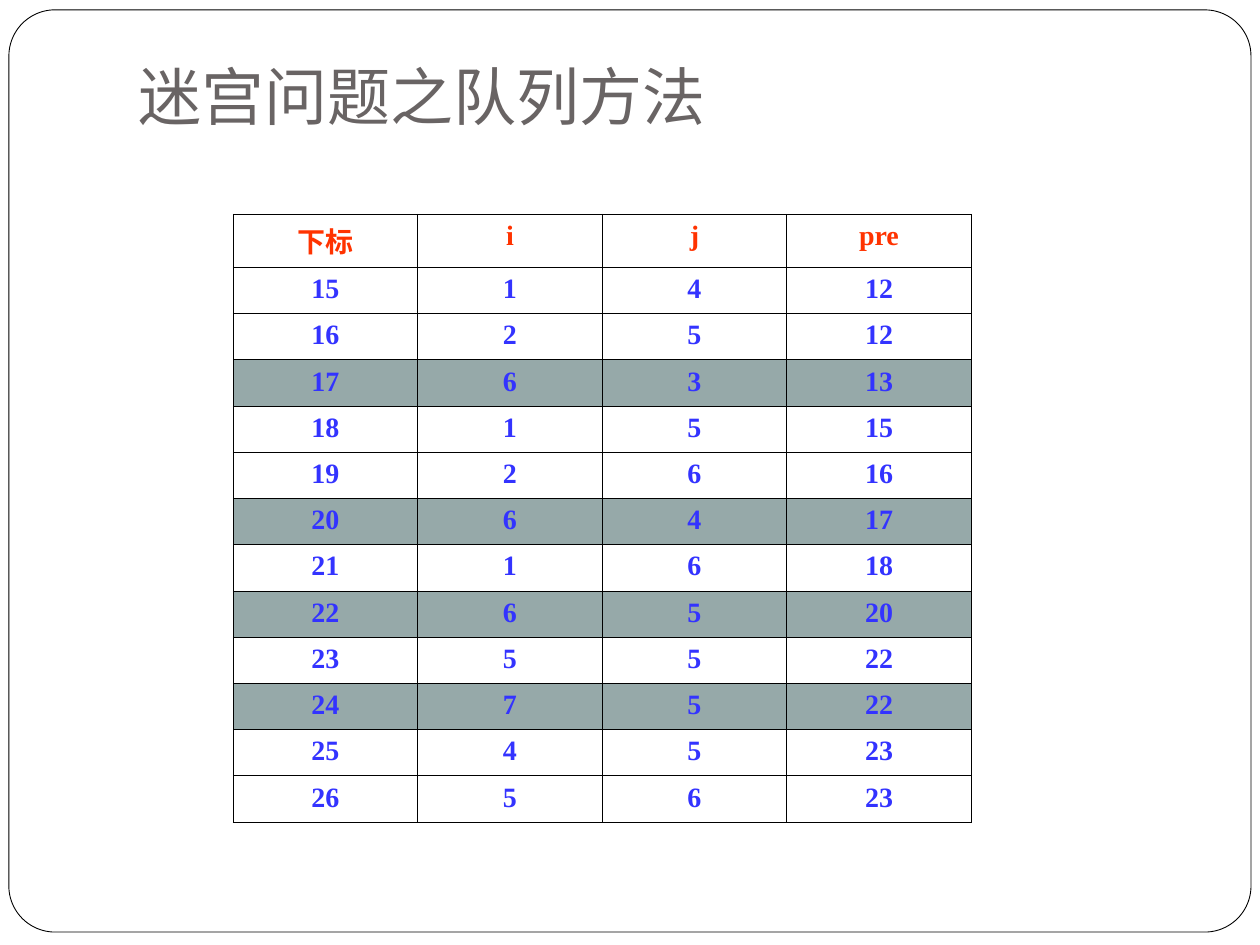
import pptx
import pptx.util
import pptx.dml.color
import pptx.enum.shapes
import pptx.enum.text
import pptx.oxml
import pptx.oxml.ns

Cm, Pt = pptx.util.Cm, pptx.util.Pt

HEADER = ["下标", "i", "j", "pre"]
QUEUE = [
    (15, 1, 4, 12), (16, 2, 5, 12), (17, 6, 3, 13), (18, 1, 5, 15),
    (19, 2, 6, 16), (20, 6, 4, 17), (21, 1, 6, 18), (22, 6, 5, 20),
    (23, 5, 5, 22), (24, 7, 5, 22), (25, 4, 5, 23), (26, 5, 6, 23),
]
HIGHLIGHTED = {17, 20, 22, 24}


def rgb(color):
    return pptx.dml.color.RGBColor.from_string(color)


def set_font(p, name, size, color, bold=False):
    p.font.name, p.font.size, p.font.bold = name, Pt(size), bold
    p.font.color.rgb = rgb(color)


def set_borders(cell, color, width):
    tcPr = cell._tc.get_or_add_tcPr()
    for i, side in enumerate("LRTB"):
        tcPr.insert(i, pptx.oxml.parse_xml(
            f'<a:ln{side} {pptx.oxml.ns.nsdecls("a")} w="{Pt(width)}"><a:solidFill>'
            f'<a:srgbClr val="{color}"/></a:solidFill></a:ln{side}>'))


def add_frame(s, left, top, width, height):
    sp = s.shapes.add_shape(pptx.enum.shapes.MSO_SHAPE.ROUNDED_RECTANGLE,
                            left, top, width, height)
    sp.adjustments[0] = 0.05
    sp.shadow.inherit = False
    sp.fill.solid()
    sp.fill.fore_color.rgb = rgb("FFFFFF")
    sp.line.color.rgb = rgb("000000")
    sp.line.width = Pt(0.5)
    # Send the frame behind the title
    s.shapes._spTree.insert(2, sp._element)


def set_title(s, text, left, top, width, height):
    sp = s.shapes.title
    sp.left, sp.top, sp.width, sp.height = left, top, width, height
    tf = sp.text_frame
    tf.text = text
    tf.auto_size = pptx.enum.text.MSO_AUTO_SIZE.NONE
    tf.vertical_anchor = pptx.enum.text.MSO_ANCHOR.BOTTOM
    tf.margin_bottom = Cm(0.25)
    p = tf.paragraphs[0]
    p.alignment = pptx.enum.text.PP_ALIGN.LEFT
    set_font(p, "Lato", 36, "696464")


def add_queue_table(s, left, top, width, height):
    rows = [HEADER] + QUEUE
    table = s.shapes.add_table(len(rows), len(HEADER), left, top, width, height).table
    table.first_row = table.horz_banding = False
    for r, values in enumerate(rows):
        for c, value in enumerate(values):
            cell = table.cell(r, c)
            cell.text = str(value)
            p = cell.text_frame.paragraphs[0]
            p.alignment = pptx.enum.text.PP_ALIGN.CENTER
            set_font(p, "Times New Roman", 16, "3333FF" if r else "FF3300", True)
            # Shade the rows on the path
            if values[0] in HIGHLIGHTED:
                cell.fill.solid()
                cell.fill.fore_color.rgb = rgb("96A9A9")
            else:
                cell.fill.background()
            set_borders(cell, "000000", 0.45)


def main():
    prs = pptx.Presentation()
    prs.slide_width, prs.slide_height = Cm(25.4), Cm(19.05)
    s = prs.slides.add_slide(prs.slide_layouts[5])
    add_frame(s, Cm(0.18), Cm(0.2), Cm(25.04), Cm(18.59))
    set_title(s, "迷宫问题之队列方法", Cm(2.54), Cm(0.53), Cm(21.59), Cm(2.41))
    add_queue_table(s, Cm(4.7), Cm(4.32), Cm(14.88), Cm(12.12))
    prs.save("out.pptx")


if __name__ == "__main__":
    main()
